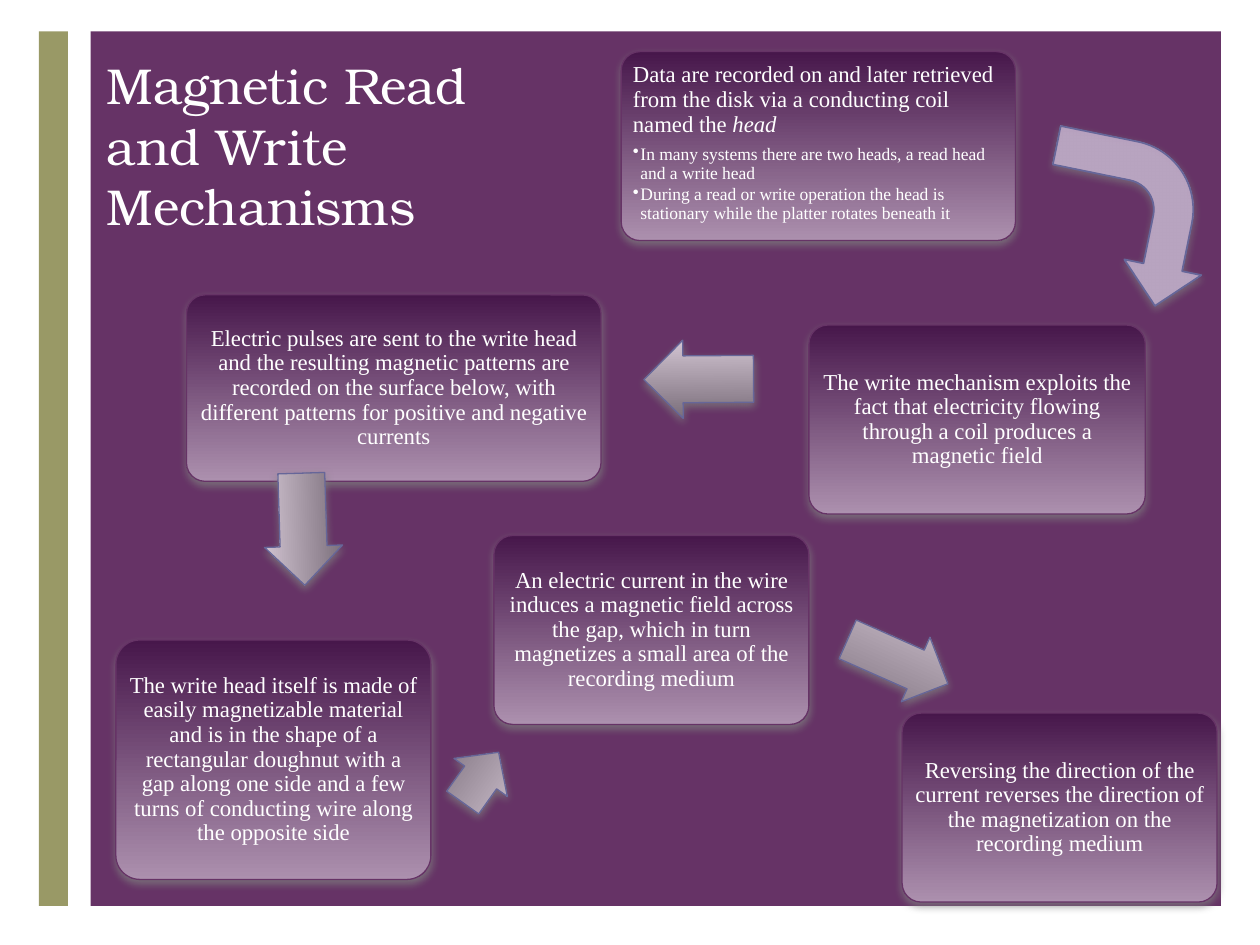
from dataclasses import dataclass

from lxml.etree import SubElement
from pptx import Presentation
from pptx.dml.color import RGBColor
from pptx.enum.shapes import MSO_SHAPE
from pptx.enum.text import MSO_ANCHOR, PP_ALIGN
from pptx.oxml.ns import qn
from pptx.util import Inches, Pt


@dataclass(frozen=True)
class Theme:
    white: str = "FFFFFF"
    panel: str = "663366"
    stripe: str = "999966"
    card: tuple = ("47174B", "AC90AE")
    arrow: tuple = ("796D79", "D3C5D3")
    arrow_line: str = "666699"
    shadow: str = "808080"
    bend: tuple = ((0, "C3AFCC", 86), (82, "C3AFCC", 86), (92, "BFBFBF", 86),
                   (99, "FFFFFF", 100), (100, "FFFFFF", 100))
    title_font: str = "TeX Gyre Bonum"
    body_font: str = "Times New Roman"
    title_size: float = 28.8
    body_size: float = 13
    bullet_size: float = 10


class FlowSlide:
    columns, rows = 100, 75

    def __init__(self, deck, theme):
        self.deck = deck
        self.theme = theme
        self.slide = deck.slides.add_slide(deck.slide_layouts[6])

    def place(self, box):
        column = self.deck.slide_width / self.columns
        row = self.deck.slide_height / self.rows
        left, top, width, height = box
        return [round(v) for v in (left * column, top * row, width * column, height * row)]

    def shape(self, kind, box, adjustments=()):
        shape = self.slide.shapes.add_shape(kind, *self.place(box))
        shape.shadow.inherit = False
        for index, value in enumerate(adjustments):
            shape.adjustments[index] = value
        return shape

    def band(self, box, color):
        band = self.shape(MSO_SHAPE.RECTANGLE, box)
        band.fill.solid()
        band.fill.fore_color.rgb = RGBColor.from_string(color)
        band.line.fill.background()

    def outline(self, shape, color, width=0.75):
        shape.line.color.rgb = RGBColor.from_string(color)
        shape.line.width = Pt(width)

    def shade(self, shape, colors):
        shape.fill.gradient()
        shape.fill.gradient_angle = 270
        for stop, color in zip(shape.fill.gradient_stops, colors):
            stop.color.rgb = RGBColor.from_string(color)

    def shade_radially(self, shape, stops):
        shape.fill.gradient()
        gradient = shape._element.spPr.find(qn("a:gradFill"))
        for child in list(gradient):
            gradient.remove(child)
        stop_list = SubElement(gradient, qn("a:gsLst"))
        for position, color, opacity in stops:
            stop = SubElement(stop_list, qn("a:gs"), pos=str(position * 1000))
            tint = SubElement(stop, qn("a:srgbClr"), val=color)
            SubElement(tint, qn("a:alpha"), val=str(opacity * 1000))
        focus = SubElement(gradient, qn("a:path"), path="circle")
        SubElement(focus, qn("a:fillToRect"), l="50000", t="50000", r="50000", b="50000")

    def cast_shadow(self, shape):
        effects = shape._element.spPr.find(qn("a:effectLst"))
        shadow = SubElement(effects, qn("a:outerShdw"), blurRad=str(Pt(5)), dist=str(Pt(2)),
                            dir="5400000", rotWithShape="0")
        color = SubElement(shadow, qn("a:srgbClr"), val=self.theme.shadow)
        SubElement(color, qn("a:alpha"), val="75000")

    def text_run(self, paragraph, text, size, font, italic=False):
        run = paragraph.add_run()
        run.text = text
        run.font.size = Pt(size)
        run.font.name = font
        run.font.italic = italic
        run.font.color.rgb = RGBColor.from_string(self.theme.white)

    def title(self, box, lines):
        frame = self.slide.shapes.add_textbox(*self.place(box)).text_frame
        frame.word_wrap = True
        frame.vertical_anchor = MSO_ANCHOR.BOTTOM
        paragraph = frame.paragraphs[0]
        for index, line in enumerate(lines):
            if index:
                paragraph.add_line_break()
            self.text_run(paragraph, line, self.theme.title_size, self.theme.title_font)

    def card(self, box, runs, bullets=()):
        card = self.shape(MSO_SHAPE.ROUNDED_RECTANGLE, box, [0.1])
        self.shade(card, self.theme.card)
        self.outline(card, self.theme.panel)
        self.cast_shadow(card)
        frame = card.text_frame
        frame.word_wrap = True
        frame.margin_left = frame.margin_right = Inches(0.05)
        frame.margin_top = frame.margin_bottom = Inches(0.05)
        frame.vertical_anchor = MSO_ANCHOR.TOP if bullets else MSO_ANCHOR.MIDDLE
        statement = frame.paragraphs[0]
        statement.alignment = PP_ALIGN.LEFT if bullets else PP_ALIGN.CENTER
        statement.line_spacing = 0.9
        for text, italic in runs:
            self.text_run(statement, text, self.theme.body_size, self.theme.body_font, italic)
        for index, text in enumerate(bullets):
            self.bullet(frame.add_paragraph(), text, 1.5 if index else 4.5)

    def bullet(self, paragraph, text, space_before):
        paragraph.level = 1
        paragraph.alignment = PP_ALIGN.LEFT
        paragraph.line_spacing = 0.9
        paragraph.space_before = Pt(space_before)
        properties = paragraph._p.get_or_add_pPr()
        properties.set("marL", str(Inches(0.06)))
        properties.set("indent", str(-Inches(0.06)))
        color = SubElement(properties, qn("a:buClr"))
        SubElement(color, qn("a:srgbClr"), val=self.theme.white)
        SubElement(properties, qn("a:buChar"), char="•")
        self.text_run(paragraph, text, self.theme.bullet_size, self.theme.body_font)

    def arrow(self, box, rotation, flipped=False):
        arrow = self.shape(MSO_SHAPE.RIGHT_ARROW, box, [0.6, 0.5])
        arrow.rotation = rotation
        if flipped:
            arrow._element.spPr.xfrm.set("flipH", "1")
        self.shade(arrow, self.theme.arrow)
        self.outline(arrow, self.theme.arrow_line)
        self.cast_shadow(arrow)

    def bent_arrow(self, box, rotation):
        bend = self.shape(MSO_SHAPE.BENT_ARROW, box, [0.25, 0.25, 0.25, 0.44])
        bend.rotation = rotation
        self.shade_radially(bend, self.theme.bend)
        self.outline(bend, self.theme.arrow_line, 1)
        self.cast_shadow(bend)


def main():
    deck = Presentation()
    deck.slide_width, deck.slide_height = Inches(10), Inches(7.5)
    theme = Theme()
    flow = FlowSlide(deck, theme)

    flow.band((7.2, 2.5, 89.7, 69.4), theme.panel)
    flow.band((3.1, 2.5, 2.3, 69.4), theme.stripe)
    flow.title((7.5, 2.5, 89.2, 16.7), ["Magnetic Read", "and Write ", "Mechanisms"])

    flow.card(
        (49.3, 4.1, 31.3, 15),
        [("Data are recorded on and later retrieved from the disk via a conducting coil named the ", False),
         ("head", True)],
        ["In many systems there are two heads, a read head and a write head",
         "During a read or write operation the head is stationary while the platter rotates beneath it"])

    steps = [
        ((64.2, 25.8, 26.7, 15),
         "The write mechanism exploits the fact that electricity flowing through a coil produces a magnetic field"),
        ((14.8, 23.4, 32.9, 14.8),
         "Electric pulses are sent to the write head and the resulting magnetic patterns are recorded "
         "on the surface below, with different patterns for positive and negative currents"),
        ((9.2, 50.8, 25, 19),
         "The write head itself is made of easily magnetizable material and is in the shape of a rectangular "
         "doughnut with a gap along one side and a few turns of conducting wire along the opposite side"),
        ((39.2, 42.5, 25, 15),
         "An electric current in the wire induces a magnetic field across the gap, which in turn "
         "magnetizes a small area of the recording medium"),
        ((71.6, 56.6, 25, 15),
         "Reversing the direction of the current reverses the direction of the magnetization "
         "on the recording medium"),
    ]
    for box, statement in steps:
        flow.card(box, [(statement, False)])

    flow.arrow((51.1, 27, 8.7, 6.2), 179.6)
    flow.arrow((19.6, 38.9, 8.9, 6.2), 88.2)
    flow.arrow((35.7, 59.1, 4.9, 5.2), 305.5)
    flow.arrow((66.9, 49.7, 8.7, 5.6), 203.9, flipped=True)
    flow.bent_arrow((83.2, 10.8, 12.5, 13.3), 101.5)

    deck.save("out.pptx")


if __name__ == "__main__":
    main()
